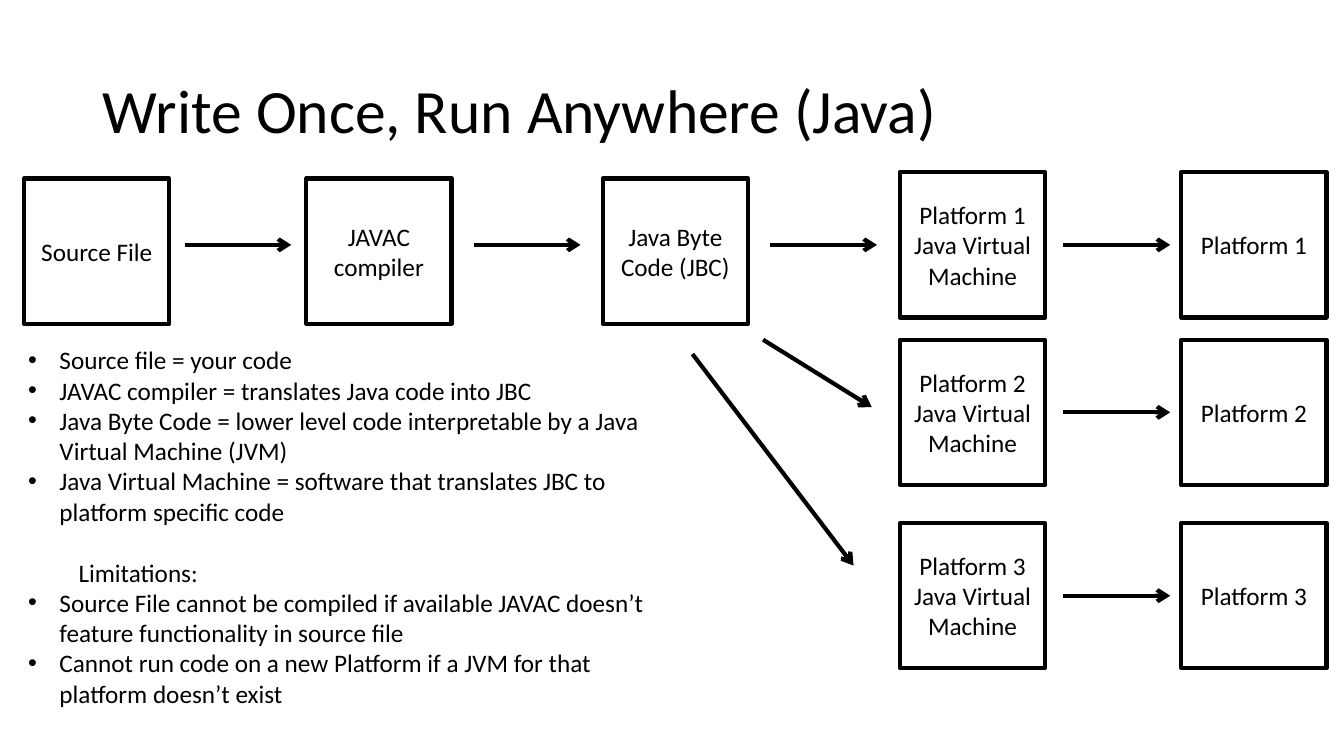
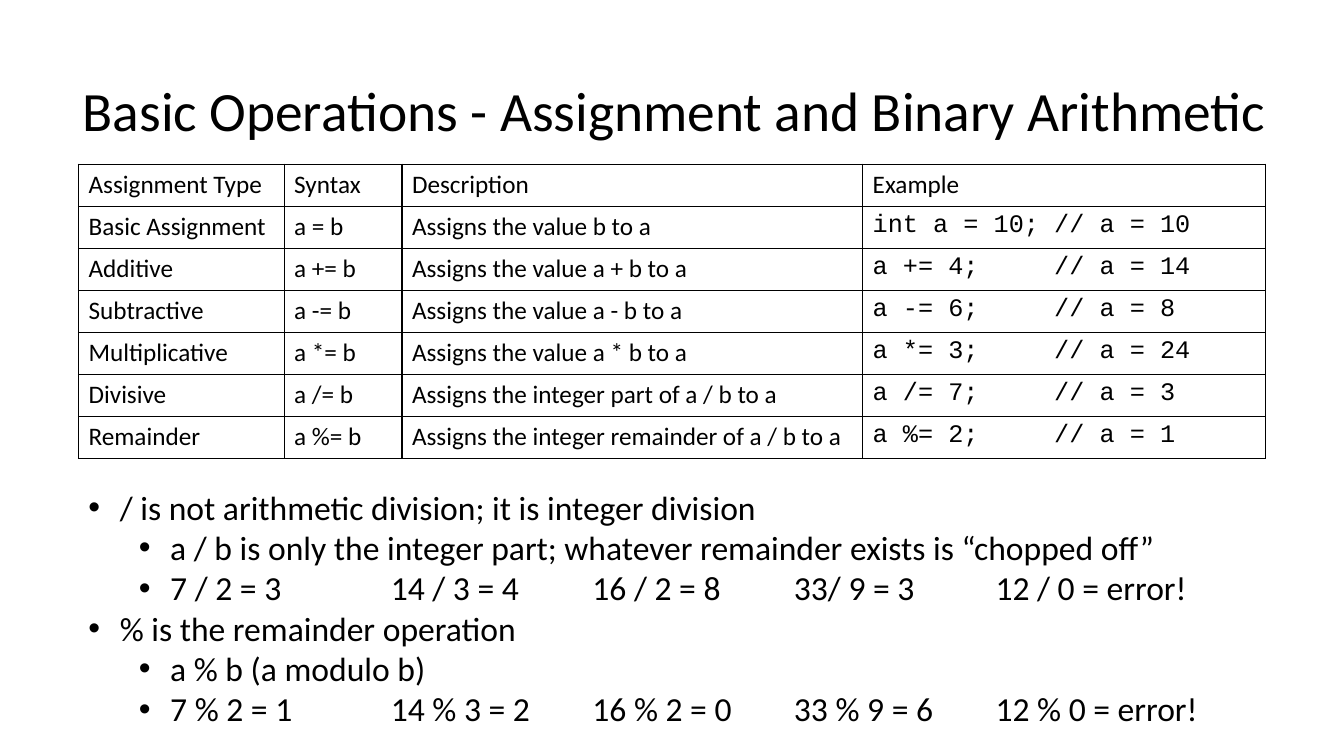
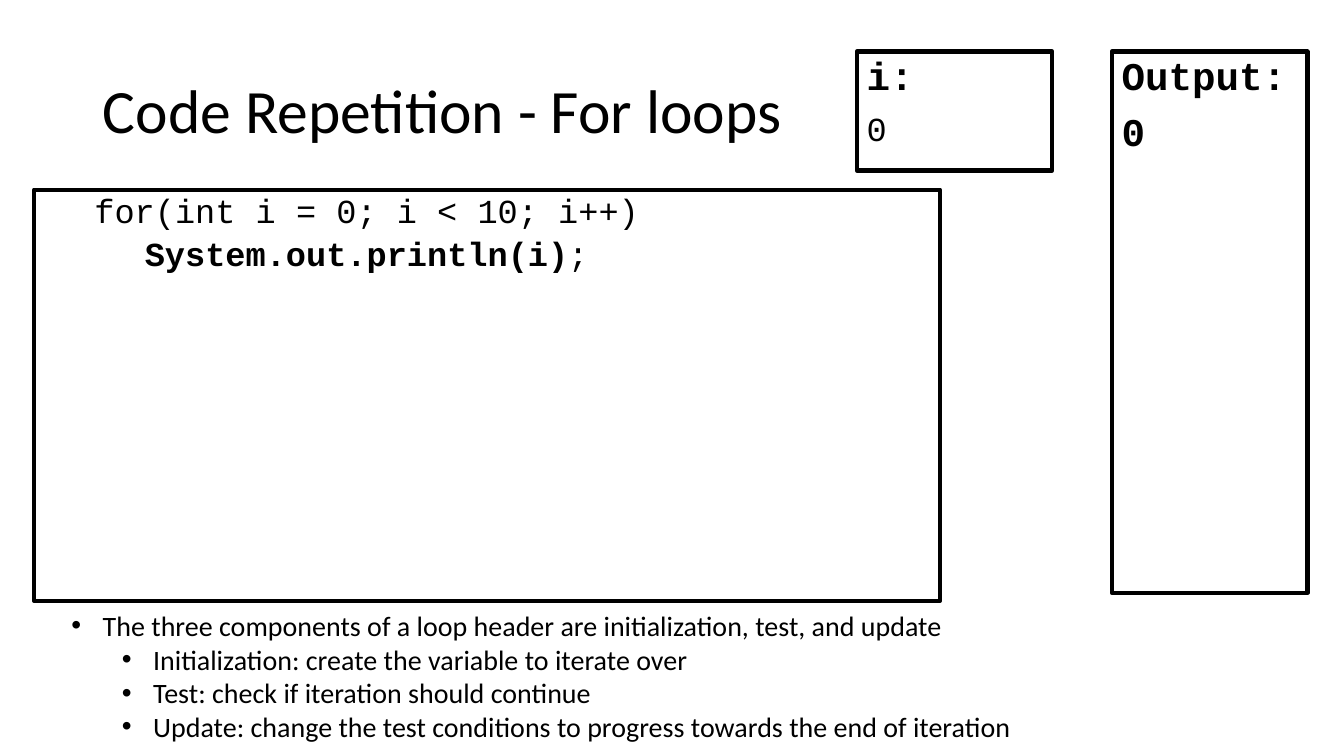
from dataclasses import dataclass

from lxml.etree import SubElement
from pptx import Presentation
from pptx.dml.color import RGBColor
from pptx.enum.shapes import MSO_CONNECTOR as Connector, MSO_SHAPE as Shape
from pptx.enum.text import MSO_ANCHOR as Anchor, MSO_AUTO_SIZE as AutoSize, PP_ALIGN as Align
from pptx.oxml import parse_xml
from pptx.oxml.ns import nsdecls, qn
from pptx.util import Cm, Pt


@dataclass(frozen=True)
class Theme:
    ink: RGBColor = RGBColor(0, 0, 0)
    paper: RGBColor = RGBColor(255, 255, 255)
    body_font: str = "Calibri"
    code_font: str = "Courier New"
    title: float = 44
    long_title: float = 39.6
    heading: float = 28
    large: float = 24
    medium: float = 20
    small: float = 18
    outline: float = 3
    grid: float = 1


THEME = Theme()
TITLE_AREA = (2.34, 1.02, 29.21, 3.68)
LONG_TITLE_AREA = (1.83, 1.02, 30.96, 3.68)
LINE_SPACING = 0.9

# Content: slide 1, positions in centimetres
BOX = 3.66
ARROW = 2.69
MAIN_TOP = 4.5
PLATFORM_TOPS = [4.34, 8.56, 13.18]
MACHINE_LEFT, PLATFORM_LEFT = 22.68, 29.77
STAGES = [("Source File", 0.61), ("JAVAC compiler", 7.72), ("Java Byte Code (JBC)", 15.19)]
STAGE_ARROW_LEFTS = [4.65, 11.94, 19.41]
PLATFORM_ARROW_LEFT = 26.8
BRANCH_ARROWS = [(19.23, 8.56, 21.97, 10.26), (17.45, 8.92, 21.51, 14.25)]
# Notes are (style, text)
JAVA_NOTES = [
    ("bullet", "Source file = your code"),
    ("bullet", "JAVAC compiler = translates Java code into JBC"),
    ("bullet", "Java Byte Code = lower level code interpretable by a Java Virtual Machine (JVM)"),
    ("bullet", "Java Virtual Machine = software that translates JBC to platform specific code"),
    ("label", "Limitations:"),
    ("bullet", "Source File cannot be compiled if available JAVAC doesn’t feature functionality in source file"),
    ("bullet", "Cannot run code on a new Platform if a JVM for that platform doesn’t exist"),
]

# Content: slide 2
COLUMN_WIDTHS = [5.18, 2.97, 11.61, 10.16]
ROW_HEIGHT = 1.06
OPERATIONS = [
    ("Assignment Type", "Syntax", "Description", "Example"),
    ("Basic Assignment", "a = b", "Assigns the value b to a", "int a = 10; // a = 10"),
    ("Additive", "a += b", "Assigns the value a + b to a", "a += 4;     // a = 14"),
    ("Subtractive", "a -= b", "Assigns the value a - b to a", "a -= 6;     // a = 8"),
    ("Multiplicative", "a *= b", "Assigns the value a * b to a", "a *= 3;     // a = 24"),
    ("Divisive", "a /= b", "Assigns the integer part of a / b to a", "a /= 7;     // a = 3"),
    ("Remainder", "a %= b", "Assigns the integer remainder of a / b to a", "a %= 2;     // a = 1"),
]
DIVISION_NOTES = [
    ("bullet", "/ is not arithmetic division; it is integer division"),
    ("sub", "a / b is only the integer part; whatever remainder exists is “chopped off”"),
    ("sub", "7 / 2 = 3\t\t14 / 3 = 4\t16 / 2 = 8\t33/ 9 = 3\t12 / 0 = error!"),
    ("bullet", "% is the remainder operation"),
    ("sub", "a % b (a modulo b)"),
    ("sub", "7 % 2 = 1\t14 % 3 = 2\t16 % 2 = 0\t33 % 9 = 6\t12 % 0 = error!"),
]

# Content: slide 3, paragraphs are (first indent, left indent, runs of (text, size, bold))
PANELS = [
    ((28.02, 1.3, 4.93, 13.64), 10, [
        (0, 0, [("Output:", THEME.heading, True)]),
        (0, 0, [("0", THEME.heading, True)])]),
    ((0.86, 4.78, 22.83, 10.36), 5, [
        (0, 1.27, [("for(int i = 0; i < 10; i++)", THEME.large, False)]),
        (1.27, 1.27, [("System.out.println(i)", THEME.large, True), (";", THEME.large, False)])]),
    ((21.59, 1.3, 4.93, 3), 10, [
        (0, 0, [("i:", THEME.heading, True)]),
        (0, 0, [("0", THEME.large, False)])]),
]
LOOP_NOTES = [
    ("bullet", "The three components of a loop header are initialization, test, and update"),
    ("sub", "Initialization: create the variable to iterate over"),
    ("sub", "Test: check if iteration should continue"),
    ("sub", "Update: change the test conditions to progress towards the end of iteration"),
]

# Note styles: level, left indent, first indent, bullet, space before in points
NOTE_STYLES = {
    "bullet": (0, 0.79, -0.79, True, 0),
    "sub": (1, 2.06, -0.79, True, 0),
    "label": (0, 0, 1.27, False, 22),
}


def lengths(values):
    return [Cm(value) for value in values]


def set_attributes(target, **values):
    for name, value in values.items():
        setattr(target, name, value)


def add_run(paragraph, text, size, font=THEME.body_font, bold=False):
    run = paragraph.add_run()
    run.text = text
    set_attributes(run.font, name=font, size=Pt(size), bold=bold)
    run.font.color.rgb = THEME.ink


def indent(paragraph, left, first):
    properties = paragraph._p.get_or_add_pPr()
    for name, value in {"marL": left, "indent": first, "defTabSz": 2.54}.items():
        properties.set(name, str(int(Cm(value))))
    return properties


def paragraphs_for(frame, items):
    """Pair each item with a paragraph, using the frame's first one."""
    for index, item in enumerate(items):
        yield index, frame.add_paragraph() if index else frame.paragraphs[0], item


def add_titled_slide(presentation, text, size=THEME.title, area=TITLE_AREA):
    slide = presentation.slides.add_slide(presentation.slide_layouts[5])
    title = slide.shapes.title
    set_attributes(title, **dict(zip(("left", "top", "width", "height"), lengths(area))))
    set_attributes(title.text_frame, vertical_anchor=Anchor.MIDDLE, word_wrap=True,
                   auto_size=AutoSize.NONE)
    paragraph = title.text_frame.paragraphs[0]
    set_attributes(paragraph, alignment=Align.LEFT, line_spacing=LINE_SPACING)
    add_run(paragraph, text, size)
    return slide


def add_box(slide, area, anchor):
    box = slide.shapes.add_shape(Shape.RECTANGLE, *lengths(area))
    box.shadow.inherit = False
    box.fill.background()
    box.line.color.rgb = THEME.ink
    box.line.width = Pt(THEME.outline)
    set_attributes(box.text_frame, vertical_anchor=anchor, word_wrap=True)
    return box.text_frame


def add_label_box(slide, text, left, top):
    paragraph = add_box(slide, (left, top, BOX, BOX), Anchor.MIDDLE).paragraphs[0]
    paragraph.alignment = Align.CENTER
    add_run(paragraph, text, THEME.small)


def add_arrow(slide, *ends):
    arrow = slide.shapes.add_connector(Connector.STRAIGHT, *lengths(ends))
    arrow.line.color.rgb = THEME.ink
    arrow.line.width = Pt(THEME.outline)
    SubElement(arrow.line._get_or_add_ln(), qn("a:tailEnd"), type="arrow")
    SubElement(arrow._element.spPr, qn("a:effectLst"))


def add_notes(slide, area, notes, size):
    frame = slide.shapes.add_textbox(*lengths(area)).text_frame
    set_attributes(frame, word_wrap=True, auto_size=AutoSize.SHAPE_TO_FIT_TEXT)
    for _, paragraph, (style, text) in paragraphs_for(frame, notes):
        level, left, first, bullet, before = NOTE_STYLES[style]
        properties = indent(paragraph, left, first)
        if bullet:
            SubElement(properties, qn("a:buFont"), typeface="Arial")
            SubElement(properties, qn("a:buChar"), char="•")
        paragraph.level = level
        if before:
            paragraph.space_before = Pt(before)
        add_run(paragraph, text, size)


def add_borders(cell):
    properties = cell._tc.get_or_add_tcPr()
    for index, side in enumerate(("lnL", "lnR", "lnT", "lnB")):
        properties.insert(index, parse_xml(
            f'<a:{side} {nsdecls("a")} w="{int(Pt(THEME.grid))}"><a:solidFill>'
            f'<a:srgbClr val="{THEME.ink}"/></a:solidFill></a:{side}>'))


def add_operations_table(slide, left, top):
    area = (left, top, sum(COLUMN_WIDTHS), ROW_HEIGHT * len(OPERATIONS))
    table = slide.shapes.add_table(len(OPERATIONS), len(COLUMN_WIDTHS), *lengths(area)).table
    set_attributes(table, first_row=False, horz_banding=False)
    for column, width in zip(table.columns, COLUMN_WIDTHS):
        column.width = Cm(width)
    for row_index, texts in enumerate(OPERATIONS):
        table.rows[row_index].height = Cm(ROW_HEIGHT)
        for column_index, text in enumerate(texts):
            cell = table.cell(row_index, column_index)
            cell.fill.solid()
            cell.fill.fore_color.rgb = THEME.paper
            add_borders(cell)
            is_code = row_index > 0 and column_index == len(texts) - 1
            add_run(cell.text_frame.paragraphs[0], text, THEME.small,
                    THEME.code_font if is_code else THEME.body_font)


def add_code_panel(slide, area, space_before, lines):
    frame = add_box(slide, area, Anchor.TOP)
    for index, paragraph, (first, left, runs) in paragraphs_for(frame, lines):
        indent(paragraph, left, first)
        set_attributes(paragraph, alignment=Align.LEFT, line_spacing=LINE_SPACING)
        if index:
            paragraph.space_before = Pt(space_before)
        for text, size, bold in runs:
            add_run(paragraph, text, size, THEME.code_font, bold)


def build_java_slide(presentation):
    slide = add_titled_slide(presentation, "Write Once, Run Anywhere (Java)")
    for text, left in STAGES:
        add_label_box(slide, text, left, MAIN_TOP)
    for number, top in enumerate(PLATFORM_TOPS, 1):
        add_label_box(slide, f"Platform {number} Java Virtual Machine", MACHINE_LEFT, top)
        add_label_box(slide, f"Platform {number}", PLATFORM_LEFT, top)
    # Level arrows run at the middle of each platform row
    middles = [top + BOX / 2 for top in PLATFORM_TOPS]
    starts = [(left, middles[0]) for left in STAGE_ARROW_LEFTS]
    starts += [(PLATFORM_ARROW_LEFT, middle) for middle in middles]
    for left, middle in starts:
        add_arrow(slide, left, middle, left + ARROW, middle)
    for ends in BRANCH_ARROWS:
        add_arrow(slide, *ends)
    add_notes(slide, (0.46, 8.56, 16.48, 9.47), JAVA_NOTES, THEME.small)


def build_operations_slide(presentation):
    slide = add_titled_slide(presentation, "Basic Operations - Assignment and Binary Arithmetic",
                             THEME.long_title, LONG_TITLE_AREA)
    add_operations_table(slide, 1.98, 4.14)
    add_notes(slide, (1.98, 12.14, 29.72, 6.4), DIVISION_NOTES, THEME.large)


def build_loops_slide(presentation):
    slide = add_titled_slide(presentation, "Code Repetition - For loops")
    for panel in PANELS:
        add_code_panel(slide, *panel)
    add_notes(slide, (1.55, 15.21, 30.63, 3.68), LOOP_NOTES, THEME.medium)


def main():
    presentation = Presentation()
    set_attributes(presentation, slide_width=Cm(33.87), slide_height=Cm(19.05))
    for build in (build_java_slide, build_operations_slide, build_loops_slide):
        build(presentation)
    presentation.save("out.pptx")


if __name__ == "__main__":
    main()
